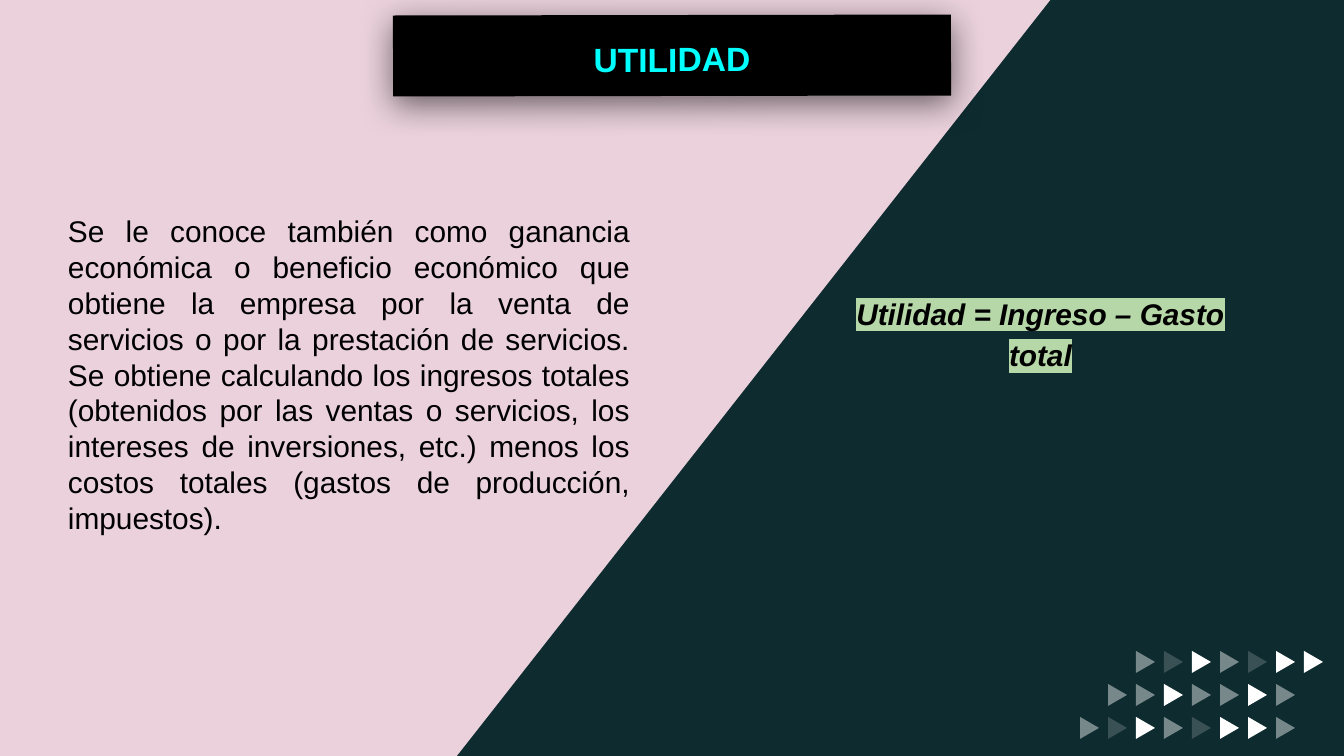
from dataclasses import dataclass

from lxml.etree import SubElement
from pptx import Presentation
from pptx.dml.color import RGBColor
from pptx.enum.shapes import MSO_SHAPE
from pptx.enum.text import MSO_ANCHOR, PP_ALIGN
from pptx.oxml import parse_xml
from pptx.oxml.ns import nsdecls, qn
from pptx.util import Pt

PX = 914400 / 134.4


@dataclass(frozen=True)
class Theme:
    font: str = "Arial"
    dark: str = "0E2B2F"
    pink: str = "EAD1DC"
    black: str = "000000"
    white: str = "FFFFFF"
    cyan: str = "00FFFF"
    green: str = "B6D7A8"
    title: int = 18
    body: int = 16


T = Theme()


def px(n):
    return round(n * PX)


def rgb(color):
    return RGBColor.from_string(color)


def paint(sp, color, alpha=100):
    sp.shadow.inherit = False
    sp.line.fill.background()
    sp.fill.solid()
    sp.fill.fore_color.rgb = rgb(color)
    if alpha < 100:
        clr = sp.fill._xPr.find(qn("a:solidFill"))[0]
        SubElement(clr, qn("a:alpha"), val=str(alpha * 1000))


def write(sp, text, size, color=T.black, bold=False, italic=False, align=PP_ALIGN.CENTER,
          spacing=None, anchor=MSO_ANCHOR.TOP, inset=(13, 13), highlight=None):
    tf = sp.text_frame
    tf.word_wrap = True
    tf.vertical_anchor = anchor
    tf.margin_left = tf.margin_right = px(inset[0])
    tf.margin_top = tf.margin_bottom = px(inset[1])
    p = tf.paragraphs[0]
    p.alignment = align
    if spacing:
        p.line_spacing = spacing
    r = p.add_run()
    r.text = text
    f = r.font
    f.name, f.size, f.bold, f.italic = T.font, Pt(size), bold, italic
    f.color.rgb = rgb(color)
    if highlight:
        r._r.rPr.find(qn("a:solidFill")).addnext(parse_xml(
            f'<a:highlight {nsdecls("a")}><a:srgbClr val="{highlight}"/></a:highlight>'))


def panel(s, x, y, w, h, foot):
    """Slanted panel: full width at the top, foot wide at the bottom."""
    fb = s.shapes.build_freeform(x, y, scale=PX)
    fb.add_line_segments([(x + w, y), (x + foot, y + h), (x, y + h)])
    paint(fb.convert_to_shape(), T.pink)


def arrows(s, x, y, w, h):
    """Rows of right-pointing triangles, each row stepped left of the one above."""
    pitch, row_pitch, base, height = 28, 33, 22, 19
    rows = [  # first column, opacity of each triangle
        (2, (44, 18, 100, 44, 18, 100, 100)),
        (1, (44, 44, 100, 44, 44, 100, 44)),
        (0, (44, 18, 100, 44, 18, 100, 100, 44)),
    ]
    group = s.shapes.add_group_shape()
    for i, (first, alphas) in enumerate(rows):
        for col, alpha in enumerate(alphas, first):
            # The quarter turn swaps width and height about the centre
            cx = x + col * pitch + height / 2
            cy = y + i * row_pitch + base / 2
            sp = group.shapes.add_shape(
                MSO_SHAPE.ISOSCELES_TRIANGLE, px(cx - base / 2), px(cy - height / 2),
                px(base), px(height))
            sp.rotation = 90
            paint(sp, T.white, alpha)


def title_bar(s, x, y, w, h):
    sp = s.shapes.add_shape(MSO_SHAPE.RECTANGLE, px(x), px(y), px(w), px(h))
    sp.rotation = 359.9
    paint(sp, T.black)
    # Soft shadow straight below
    effects = sp._element.spPr.find(qn("a:effectLst"))
    shadow = SubElement(effects, qn("a:outerShdw"), blurRad=str(Pt(18)), dist=str(Pt(4)),
                        dir="5400000", algn="bl", rotWithShape="0")
    clr = SubElement(shadow, qn("a:srgbClr"), val=T.black)
    SubElement(clr, qn("a:alpha"), val="55000")
    write(sp, "UTILIDAD", T.title, T.cyan, bold=True, spacing=1.15,
          anchor=MSO_ANCHOR.MIDDLE, inset=(13, 7))


def definition(s, x, y, w, h):
    sp = s.shapes.add_textbox(px(x), px(y), px(w), px(h))
    write(sp, "Se le conoce también como ganancia económica o beneficio económico que obtiene "
          "la empresa por la venta de servicios o por la prestación de servicios. Se obtiene "
          "calculando los ingresos totales (obtenidos por las ventas o servicios, los intereses "
          "de inversiones, etc.) menos los costos totales (gastos de producción, impuestos).",
          T.body, align=PP_ALIGN.JUSTIFY)


def formula(s, x, y, w, h):
    sp = s.shapes.add_textbox(px(x), px(y), px(w), px(h))
    write(sp, "Utilidad = Ingreso – Gasto total", T.body, bold=True, italic=True,
          spacing=1.15, highlight=T.green)


def main():
    prs = Presentation()
    prs.slide_width, prs.slide_height = px(1344), px(756)
    s = prs.slides.add_slide(prs.slide_layouts[6])
    s.background.fill.solid()
    s.background.fill.fore_color.rgb = rgb(T.dark)

    panel(s, 0, -1, 1051, 758, foot=456)
    arrows(s, 1080, 651, 243, 88)
    title_bar(s, 393, 15, 558, 81)
    definition(s, 55, 200, 588, 441)
    formula(s, 820, 277, 441, 89)
    prs.save("out.pptx")


if __name__ == "__main__":
    main()
